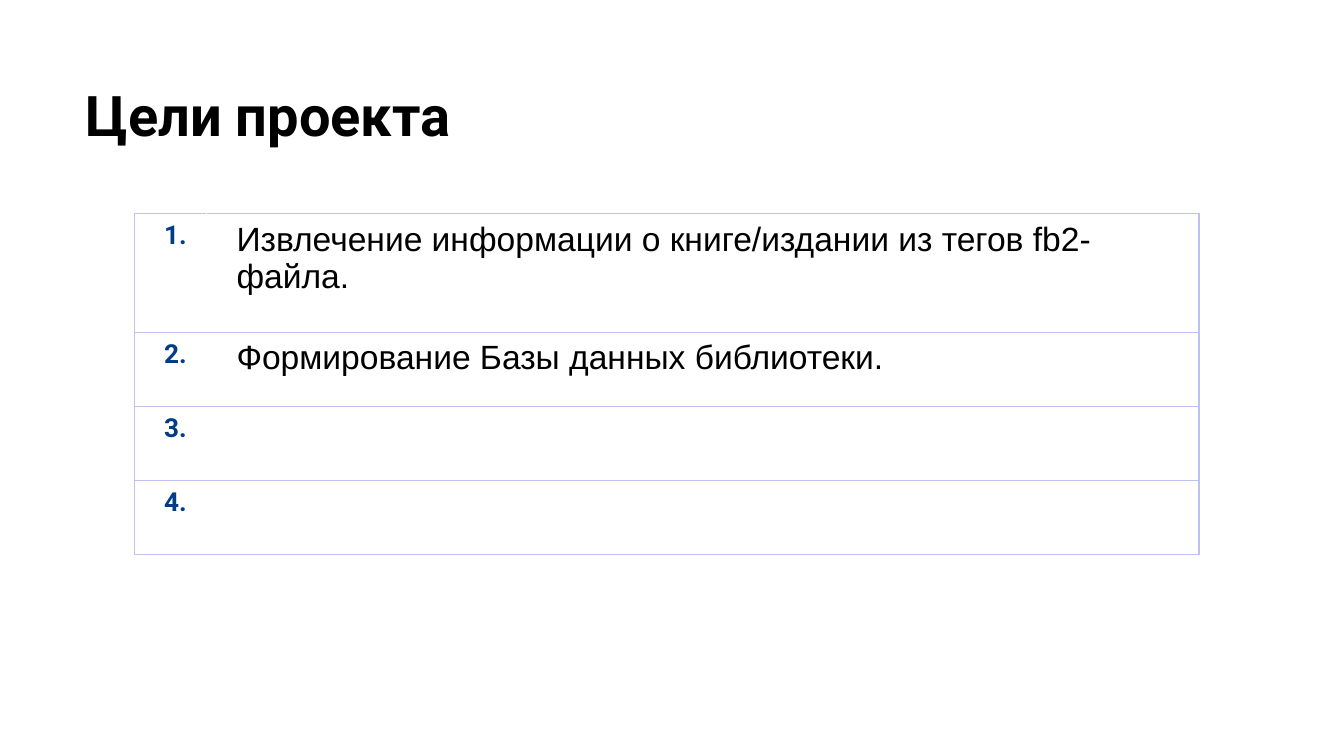
from lxml.etree import SubElement
from pptx import Presentation
from pptx.dml.color import RGBColor
from pptx.enum.text import MSO_ANCHOR, MSO_AUTO_SIZE, PP_ALIGN
from pptx.oxml.ns import qn
from pptx.util import Cm, Pt


def color(value):
    """Turn a hex string into a colour."""
    return RGBColor.from_string(value)


class GoalsSlide:
    """Holds the style and the current slide and adds elements to it."""

    title_format = {"name": "Roboto", "size": Pt(30), "bold": True}
    number_format = {"name": "Roboto", "size": Pt(14), "bold": True}
    goal_format = {"name": "Arial", "size": Pt(18), "bold": False}
    black, white, navy, lilac = "000000", "FFFFFF", "013D85", "BFC1F0"
    cell_margins = {
        "margin_left": Cm(0.56),
        "margin_top": Cm(0.13),
        "margin_right": Cm(0.25),
        "margin_bottom": Cm(0.13),
    }

    def __init__(self, presentation):
        self.slide = presentation.slides.add_slide(presentation.slide_layouts[5])

    def apply(self, target, values):
        for name, value in values.items():
            setattr(target, name, value)

    def add_text(self, paragraph, text, font_format, font_color):
        paragraph.alignment = PP_ALIGN.LEFT
        run = paragraph.add_run()
        run.text = text
        self.apply(run.font, font_format)
        run.font.color.rgb = color(font_color)

    def add_title(self, text, left, top, width, height):
        title = self.slide.shapes.title
        self.apply(title, {"left": Cm(left), "top": Cm(top),
                           "width": Cm(width), "height": Cm(height)})
        frame = title.text_frame
        margins = {f"margin_{side}": Cm(0.25)
                   for side in ("left", "top", "right", "bottom")}
        self.apply(frame, {"word_wrap": True, "auto_size": MSO_AUTO_SIZE.NONE,
                           "vertical_anchor": MSO_ANCHOR.TOP, **margins})
        self.add_text(frame.paragraphs[0], text, self.title_format, self.black)

    def add_borders(self, cell, left, right):
        properties = cell._tc.get_or_add_tcPr()
        borders = {"L": left, "R": right, "T": self.lilac, "B": self.lilac}
        for side, value in borders.items():
            line = SubElement(properties, qn(f"a:ln{side}"), w=str(Pt(0.75)))
            fill = SubElement(line, qn("a:solidFill"))
            SubElement(fill, qn("a:srgbClr"), val=value)

    def add_goals(self, goals, left, top, widths, heights):
        table = self.slide.shapes.add_table(
            len(goals), len(widths), Cm(left), Cm(top),
            Cm(sum(widths)), Cm(sum(heights))).table
        self.apply(table, {"first_row": False, "horz_banding": False})
        for column, width in zip(table.columns, widths):
            column.width = Cm(width)
        for number, (row, height, goal) in enumerate(
                zip(table.rows, heights, goals), 1):
            row.height = Cm(height)
            number_cell, goal_cell = row.cells
            self.add_borders(number_cell, self.lilac, self.white)
            self.add_borders(goal_cell, self.white, self.lilac)
            for cell in row.cells:
                self.apply(cell, self.cell_margins)
                cell.fill.background()
            self.add_text(number_cell.text_frame.paragraphs[0], f"{number}.",
                          self.number_format, self.navy)
            if goal:
                self.add_text(goal_cell.text_frame.paragraphs[0], goal,
                              self.goal_format, self.black)


def main():
    """Build the project goals slide."""
    presentation = Presentation()
    presentation.slide_width = Cm(25.4)
    presentation.slide_height = Cm(14.29)
    goals_slide = GoalsSlide(presentation)
    goals_slide.add_title("Цели проекта", 1.37, 1.27, 23.67, 3.63)
    goals = [
        "Извлечение информации о книге/издании из тегов fb2-файла.",
        "Формирование Базы данных библиотеки.",
        "",
        "",
    ]
    goals_slide.add_goals(goals, 2.54, 4.04, [1.37, 18.75], [2.24] + [1.4] * 3)
    presentation.save("out.pptx")


if __name__ == "__main__":
    main()
